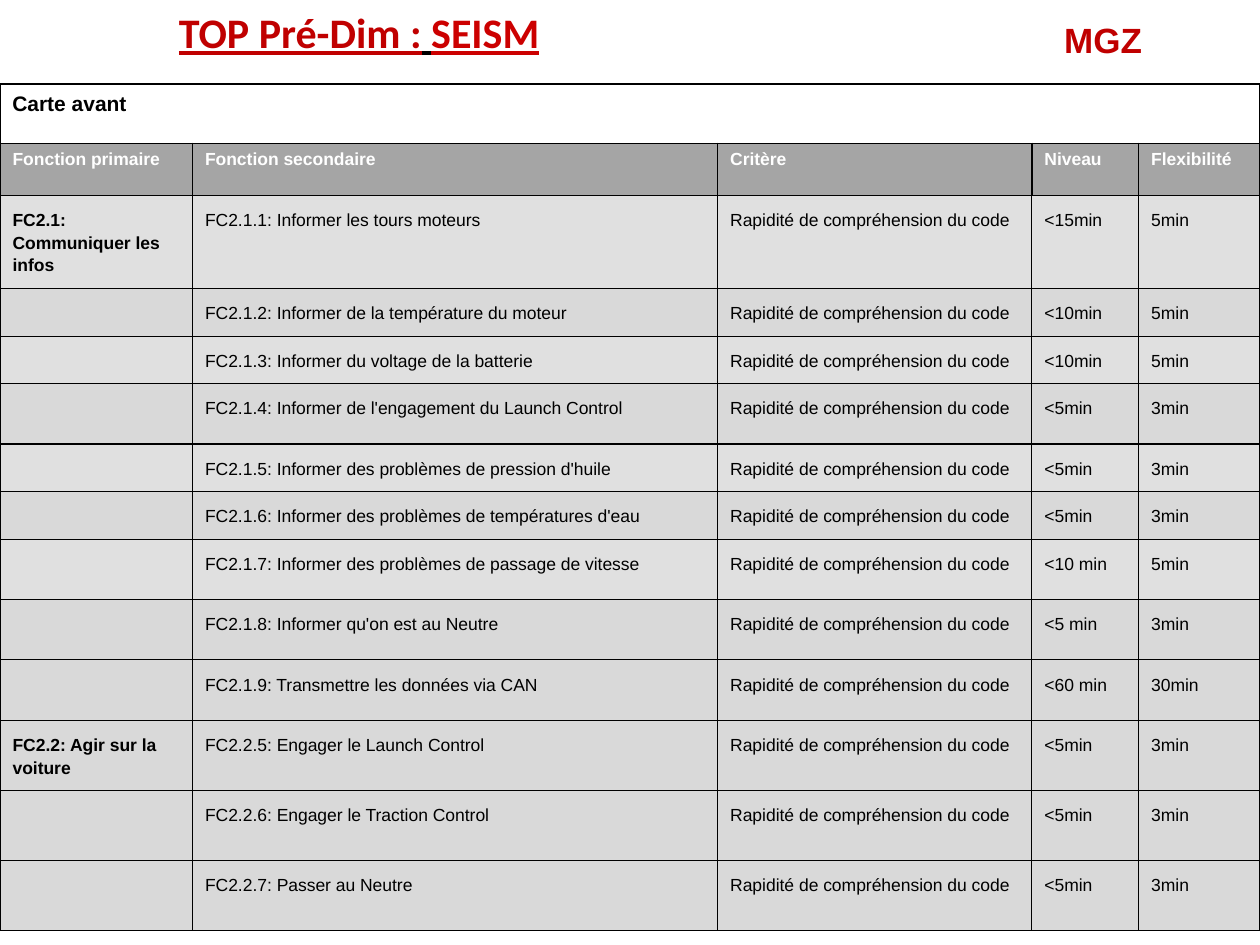
from lxml import etree
from pptx import Presentation
from pptx.dml.color import RGBColor
from pptx.enum.shapes import MSO_SHAPE
from pptx.enum.text import MSO_ANCHOR, MSO_AUTO_SIZE, PP_ALIGN
from pptx.oxml.ns import qn
from pptx.util import Pt

RECT = MSO_SHAPE.RECTANGLE
TOP = MSO_ANCHOR.TOP
FIXED = MSO_AUTO_SIZE.NONE
LEFT, CENTER = PP_ALIGN.LEFT, PP_ALIGN.CENTER

BLACK = RGBColor(0, 0, 0)
WHITE = RGBColor(255, 255, 255)
RED = RGBColor(0xC0, 0, 0)
BRIGHT = RGBColor(0xCC, 0, 0)
GRAY = RGBColor(0xA5, 0xA5, 0xA5)
LIGHT = RGBColor(0xE0, 0xE0, 0xE0)
DARK = RGBColor(0xD9, 0xD9, 0xD9)


def style(run, size, color, bold=True, face="Arial"):
    font = run.font
    font.name, font.size, font.bold = face, Pt(size), bold
    font.color.rgb = color


def border(cell, heavy):
    props = cell._tc.get_or_add_tcPr()
    for spot, side in enumerate(("lnL", "lnR", "lnT", "lnB")):
        width = 1 if heavy and side != "lnB" else 0.75
        line = etree.Element(qn("a:" + side), w=str(Pt(width)))
        fill = etree.SubElement(line, qn("a:solidFill"))
        etree.SubElement(fill, qn("a:srgbClr"), val=str(BLACK))
        props.insert(spot, line)


deck = Presentation()
deck.slide_width, deck.slide_height = Pt(720), Pt(540)
slide = deck.slides.add_slide(deck.slide_layouts[5])

title = slide.shapes.title
title.left, title.top, title.width, title.height = Pt(0), Pt(0), Pt(410.4), Pt(36)
frame = title.text_frame
frame.auto_size, frame.vertical_anchor, frame.word_wrap = FIXED, TOP, True
para = frame.paragraphs[0]
para.alignment = CENTER
for text, color in (("TOP Pré-Dim :", RED), (" ", BLACK), ("SEISM", BRIGHT)):
    run = para.add_run()
    run.text = text
    style(run, 24, color, face="Calibri")
    run.font.underline = True

banner = slide.shapes.add_shape(RECT, Pt(0), Pt(48.1), Pt(720), Pt(36))
banner.shadow.inherit = False
banner.fill.background()
banner.line.color.rgb = BLACK
banner.line.width = Pt(1)
frame = banner.text_frame
frame.text = "Carte avant"
frame.vertical_anchor = TOP
frame.paragraphs[0].alignment = LEFT
style(frame.paragraphs[0].runs[0], 12, BLACK)

label = slide.shapes.add_textbox(Pt(601), Pt(7.2), Pt(71.3), Pt(31.7))
frame = label.text_frame
frame.word_wrap = True
frame.text = "MGZ"
style(frame.paragraphs[0].runs[0], 20, RED)

HEAD = ("Fonction primaire", "Fonction secondaire", "Critère", "Niveau", "Flexibilité")
SPEED = "Rapidité de compréhension du code"
TASKS = [
    ("FC2.1: Communiquer les infos", "FC2.1.1: Informer les tours moteurs", "<15min", "5min", 53.3, LIGHT),
    ("", "FC2.1.2: Informer de la température du moteur", "<10min", "5min", 27.2, DARK),
    ("", "FC2.1.3: Informer du voltage de la batterie", "<10min", "5min", 27.2, LIGHT),
    ("", "FC2.1.4: Informer de l'engagement du Launch Control", "<5min", "3min", 34.5, DARK),
    ("", "FC2.1.5: Informer des problèmes de pression d'huile", "<5min", "3min", 27.2, LIGHT),
    ("", "FC2.1.6: Informer des problèmes de températures d'eau", "<5min", "3min", 27.2, DARK),
    ("", "FC2.1.7: Informer des problèmes de passage de vitesse", "<10 min", "5min", 34.5, LIGHT),
    ("", "FC2.1.8: Informer qu'on est au Neutre", "<5 min", "3min", 34.5, DARK),
    ("", "FC2.1.9: Transmettre les données via CAN", "<60 min", "30min", 34.5, DARK),
    ("FC2.2: Agir sur la voiture", "FC2.2.5: Engager le Launch Control", "<5min", "3min", 40, DARK),
    ("", "FC2.2.6: Engager le Traction Control", "<5min", "3min", 40, DARK),
    ("", "FC2.2.7: Passer au Neutre", "<5min", "3min", 40, DARK),
]
rows = [(HEAD, 29.7, GRAY)]
for main, sub, level, flex, tall, fill in TASKS:
    rows.append(((main, sub, SPEED, level, flex), tall, fill))

total = sum(tall for _, tall, _ in rows)
table = slide.shapes.add_table(len(rows), len(HEAD), Pt(0), Pt(81.9), Pt(720), Pt(total)).table
for col, width in zip(table.columns, (110, 300.1, 179.6, 61, 69.3)):
    col.width = Pt(width)

for r, (texts, tall, fill) in enumerate(rows):
    table.rows[r].height = Pt(tall)
    for c, text in enumerate(texts):
        cell = table.cell(r, c)
        cell.fill.solid()
        cell.fill.fore_color.rgb = fill
        border(cell, r == 0)
        cell.margin_left = cell.margin_right = Pt(7.2)
        cell.margin_top = Pt(7.2 if r and text else 3.6 if text else 1)
        cell.margin_bottom = Pt(3.6 if text else 1)
        if text:
            cell.text_frame.text = text
            para = cell.text_frame.paragraphs[0]
            para.line_spacing = 1.15 if r else 1.0
            style(para.runs[0], 10, BLACK if r else WHITE, r == 0 or c == 0)

deck.save("out.pptx")
